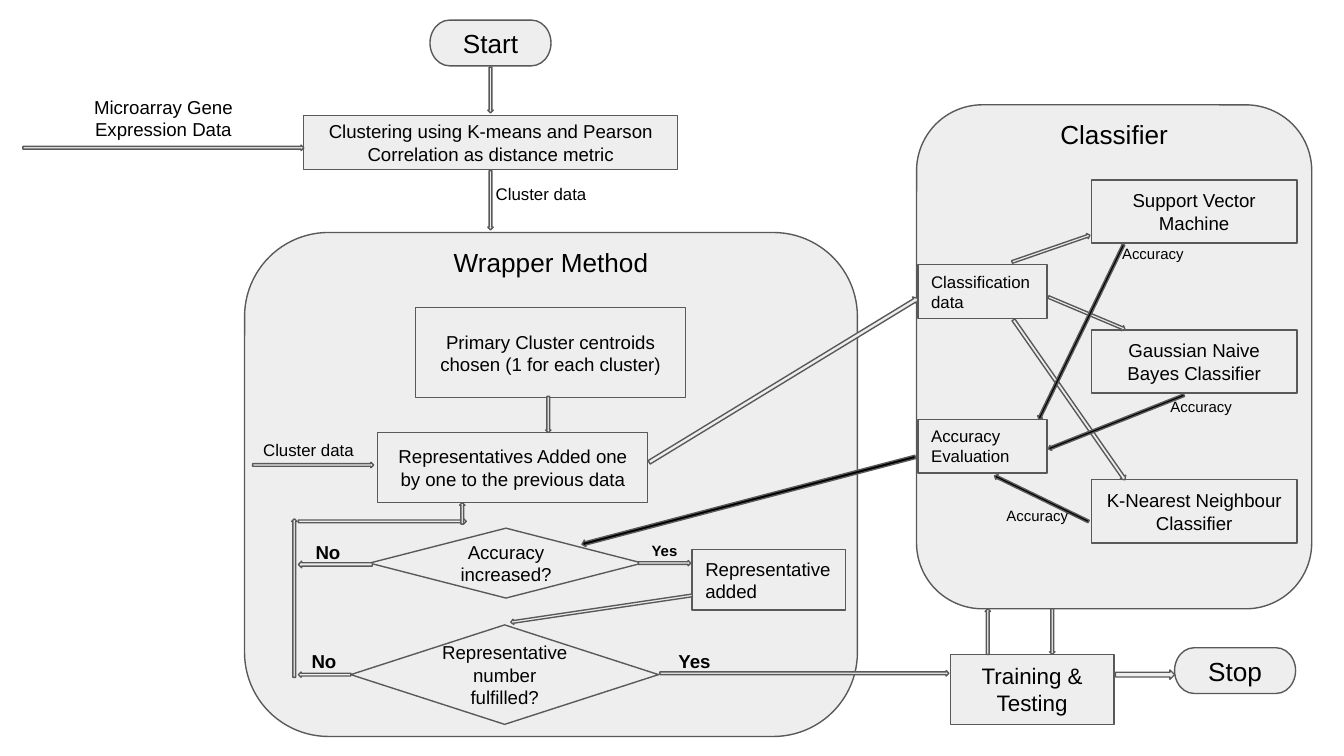
from math import atan2, degrees, hypot

from pptx import Presentation
from pptx.dml.color import RGBColor
from pptx.enum.shapes import MSO_SHAPE as Shape
from pptx.enum.text import MSO_ANCHOR as Anchor, PP_ALIGN as Align
from pptx.util import Emu, Pt

PX = 9144  # 100 px to the inch
WIDTH, HEIGHT = 1000, 562.5
PALE, BLACK, OUTLINE = "EEEEEE", "000000", "595959"
INSET = 10
TITLE_WIDTH, TITLE_HEIGHT = 171, 47

# title, left, top, width, height
PANELS = [
    ("Wrapper Method", 182, 173, 456, 375),
    ("Classifier", 682, 78, 294, 375),
]

# text, preset, left, top, width, height, font size, alignment
STEPS = [
    ("Start", Shape.FLOWCHART_TERMINATOR, 320, 15, 90, 34, 14, Align.CENTER),
    ("Clustering using K-means and Pearson Correlation as distance metric",
     Shape.RECTANGLE, 226, 86, 278, 40, 10, Align.CENTER),
    ("Primary Cluster centroids chosen (1 for each cluster)",
     Shape.RECTANGLE, 309, 229, 201, 67, 10, Align.CENTER),
    ("Representatives Added one by one to the previous data",
     Shape.RECTANGLE, 281, 322, 201, 52, 10, Align.CENTER),
    ("Accuracy increased?", Shape.FLOWCHART_DECISION, 275, 393, 203, 52, 10, Align.CENTER),
    ("Representative number fulfilled?",
     Shape.FLOWCHART_DECISION, 261, 465, 229, 74, 10, Align.CENTER),
    ("Representative added", Shape.RECTANGLE, 515, 409, 114, 45, 10, Align.LEFT),
    ("Classification data", Shape.RECTANGLE, 683, 197, 96, 40, 9, Align.LEFT),
    ("Accuracy Evaluation", Shape.RECTANGLE, 683, 312, 96, 40, 9, Align.LEFT),
    ("Training & Testing", Shape.RECTANGLE, 707, 487, 122, 52, 12, Align.CENTER),
    ("Stop", Shape.FLOWCHART_TERMINATOR, 874, 482, 90, 34, 14, Align.CENTER),
]

CLASSIFIERS = ["Support Vector Machine", "Gaussian Naive Bayes Classifier",
               "K-Nearest Neighbour Classifier"]
CLASSIFIER_LEFT, CLASSIFIER_TOP, CLASSIFIER_PITCH = 812, 134, 111.5

# from x, from y, to x, to y, thickness
FLOW_ARROWS = [
    (365, 50, 365, 84, 4),      # start to clustering
    (17, 110, 226, 110, 4),     # gene expression data in
    (365, 127, 365, 171, 4),    # clustering to wrapper
    (408, 295, 408, 322, 4),    # centroids to representatives
    (188, 346, 278, 346, 4),    # cluster data in
    (753, 195, 811, 175, 4),    # classification data to each classifier
    (780, 221, 837, 245, 4),
    (754, 238, 837, 357, 5),
    (483, 344, 683, 222, 6),    # representatives to classification data
    (219, 504, 219, 386, 4),    # return path for "No"
    (261, 502, 222, 502, 4),
    (277, 420, 222, 420, 5),
    (222, 388, 347, 388, 4),
    (344, 390, 344, 374, 4),
    (475, 419, 514, 419, 4),    # accuracy increased
    (515, 443, 380, 463, 4),    # added to number check
    (491, 501, 706, 501, 4),    # number fulfilled to training
    (735, 487, 735, 453, 4),    # training and classifier, both ways
    (783, 453, 783, 487, 4),
    (830, 502, 874, 502, 7),    # training to stop
]
ACCURACY_ARROWS = [
    (836, 182, 773, 312, 4),
    (881, 294, 780, 334, 4),
    (810, 388, 740, 354, 4),
    (681, 340, 433, 405, 5),
]

# text, left, top, width, height, font size, bold
LABELS = [
    ("Cluster data", 359, 128, 153, 47, 9, False),
    ("Cluster data", 186, 318, 110, 38, 9, False),
    ("Accuracy", 825, 173, 72, 24, 8, False),
    ("Accuracy", 861, 287, 72, 24, 8, False),
    ("Accuracy", 739, 368, 72, 24, 8, False),
    ("Yes", 475, 394, 44, 26, 8, True),
    ("Yes", 495, 474, 47, 27, 10, True),
    ("No", 225, 393, 47, 27, 10, True),
    ("No", 222, 474, 47, 27, 10, True),
]
LABEL_LINE_SIZE = 12  # labels sit on the baseline of a line of this size


def px(*lengths):
    return [Emu(round(length * PX)) for length in lengths]


def color(hex_string):
    return RGBColor.from_string(hex_string)


def write(holder, text, size=10, bold=False, align=Align.LEFT, anchor=Anchor.TOP, drop=0):
    """Fill the holder with one paragraph; drop lowers its first line by that many px."""
    frame = holder.text_frame
    frame.word_wrap = True
    frame.vertical_anchor = anchor
    (frame.margin_left, frame.margin_top,
     frame.margin_right, frame.margin_bottom) = px(INSET, INSET + drop, INSET, INSET)
    paragraph = frame.paragraphs[0]
    paragraph.alignment = align
    run = paragraph.add_run()
    run.text = text
    run.font.name = "Arial"
    run.font.size = Pt(size)
    run.font.bold = bold
    run.font.color.rgb = color(BLACK)


def add_label(slide, text, left, top, width, height, **text_format):
    write(slide.shapes.add_textbox(*px(left, top, width, height)), text, **text_format)


def add_outlined(slide, preset, left, top, width, height, fill=PALE):
    shape = slide.shapes.add_shape(preset, *px(left, top, width, height))
    shape.shadow.inherit = False
    shape.fill.solid()
    shape.fill.fore_color.rgb = color(fill)
    shape.line.color.rgb = color(OUTLINE)
    shape.line.width = Pt(0.75)
    return shape


def add_step(slide, text, preset, left, top, width, height, size, align):
    step = add_outlined(slide, preset, left, top, width, height)
    write(step, text, size=size, align=align, anchor=Anchor.MIDDLE)


def add_arrow(slide, x1, y1, x2, y2, thickness, fill=PALE):
    """Block arrow: a preset for straight directions, a turned right arrow for slanted ones."""
    dx, dy = x2 - x1, y2 - y1
    width, height, angle = hypot(dx, dy), thickness, 0
    if dx == 0:
        width, height = height, width
        preset = Shape.DOWN_ARROW if dy > 0 else Shape.UP_ARROW
    elif dy == 0:
        preset = Shape.RIGHT_ARROW if dx > 0 else Shape.LEFT_ARROW
    else:
        preset, angle = Shape.RIGHT_ARROW, degrees(atan2(dy, dx))
    left, top = (x1 + x2 - width) / 2, (y1 + y2 - height) / 2
    add_outlined(slide, preset, left, top, width, height, fill).rotation = angle


def main():
    prs = Presentation()
    prs.slide_width, prs.slide_height = px(WIDTH, HEIGHT)
    slide = prs.slides.add_slide(prs.slide_layouts[6])

    for title, left, top, width, height in PANELS:
        add_outlined(slide, Shape.ROUNDED_RECTANGLE, left, top, width, height)
        add_label(slide, title, left + (width - TITLE_WIDTH) / 2, top,
                  TITLE_WIDTH, TITLE_HEIGHT, size=14, align=Align.CENTER)
    for step in STEPS:
        add_step(slide, *step)
    for row, classifier in enumerate(CLASSIFIERS):
        add_step(slide, classifier, Shape.RECTANGLE, CLASSIFIER_LEFT,
                 CLASSIFIER_TOP + row * CLASSIFIER_PITCH, 153, 47, 10, Align.CENTER)
    for arrow in FLOW_ARROWS:
        add_arrow(slide, *arrow)
    for arrow in ACCURACY_ARROWS:
        add_arrow(slide, *arrow, fill=BLACK)
    for text, left, top, width, height, size, bold in LABELS:
        add_label(slide, text, left, top, width, height, size=size, bold=bold,
                  drop=LABEL_LINE_SIZE - size)
    add_label(slide, "Microarray Gene Expression Data", 36, 61, 171, 47,
              align=Align.CENTER)

    prs.save("out.pptx")


if __name__ == "__main__":
    main()
